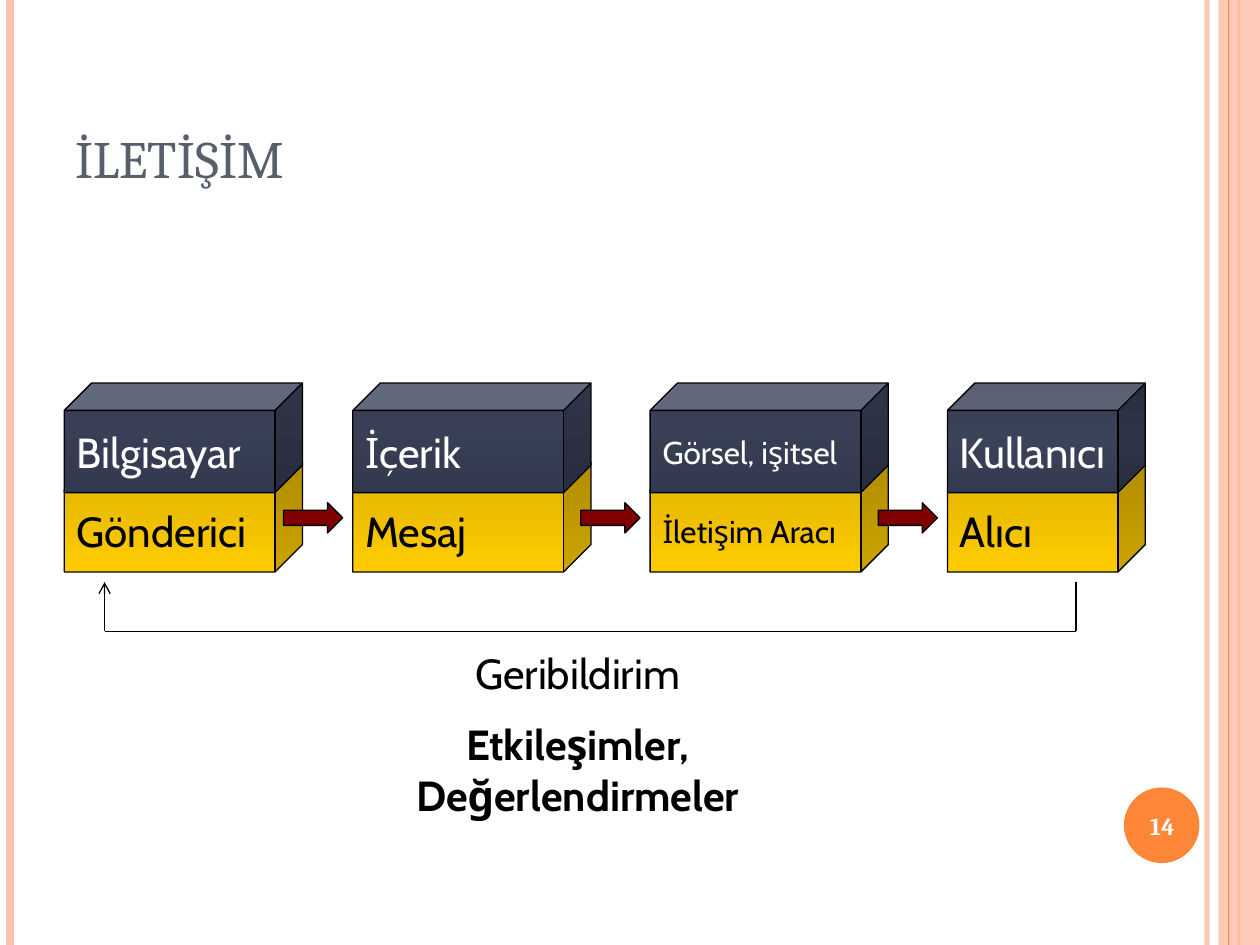
from copy import deepcopy
from pptx import Presentation
from pptx import util as u
from pptx.dml.color import RGBColor
from pptx.enum import shapes, text
from pptx.oxml.ns import qn
from pptx.oxml.xmlchemy import OxmlElement

SHAPE = shapes.MSO_SHAPE
MIDDLE = text.MSO_ANCHOR.MIDDLE
CENTER = text.PP_ALIGN.CENTER
NAVY, SLATE = "333A4F", "3B435B"
GOLD = ("DEB200", "FFCC00")


def color(value):
    return RGBColor.from_string(value)


def add_alpha(fill, percent):
    alpha = OxmlElement("a:alpha")
    alpha.set("val", str(percent * 1000))
    fill.find(qn("a:srgbClr")).append(alpha)


def add_line(page, start, end, value="000000", width=0.75, alpha=None, arrow=False):
    points = [u.Inches(n) for n in (*start, *end)]
    line = page.shapes.add_connector(shapes.MSO_CONNECTOR.STRAIGHT, *points)
    line.line.color.rgb = color(value)
    line.line.width = u.Pt(width)
    properties = line.element.spPr
    outline = properties.find(qn("a:ln"))
    if alpha:
        add_alpha(outline.find(qn("a:solidFill")), alpha)
    if arrow:
        tail = OxmlElement("a:tailEnd")
        tail.set("type", "arrow")
        outline.append(tail)
    properties.append(OxmlElement("a:effectLst"))


def add_shape(page, kind, box, stops, outlined=True):
    shape = page.shapes.add_shape(kind, *[u.Inches(n) for n in box])
    shape.shadow.inherit = False
    if len(stops) == 1:
        shape.fill.solid()
        shape.fill.fore_color.rgb = color(stops[0])
    else:
        fill_gradient(shape, stops)
    if outlined:
        shape.line.color.rgb = color("000000")
        shape.line.width = u.Pt(0.75)
    else:
        shape.line.fill.background()
    return shape


def fill_gradient(shape, stops):
    shape.fill.gradient()
    shape.fill.gradient_angle = 270
    stop_list = shape.element.spPr.find(qn("a:gradFill")).find(qn("a:gsLst"))
    for _ in stops[2:]:
        stop_list.append(deepcopy(stop_list[0]))
    for index, (stop, value) in enumerate(zip(shape.fill.gradient_stops, stops)):
        stop.position = index / (len(stops) - 1)
        stop.color.rgb = color(value)


def add_span(para, words, size, value, font="Cabin", bold=False):
    span = para.add_run()
    span.text = words
    span.font.name = font
    span.font.size = u.Pt(size)
    span.font.bold = bold
    span.font.color.rgb = color(value)
    return span


def add_box(page, box, anchor=text.MSO_ANCHOR.TOP):
    frame = page.shapes.add_textbox(*[u.Inches(n) for n in box]).text_frame
    frame.word_wrap = True
    frame.vertical_anchor = anchor
    return frame


def draw_frame(page, height):
    def rule(x, *style):
        add_line(page, (x, 0), (x, height), *style)

    rule(9.58, "FEC3AE", 3, 93)
    rule(0.08, "FEC3AE", 4.5)
    rule(9.83, "FE8637", 1.5)
    band = add_shape(page, SHAPE.RECTANGLE, (9.67, 0, 0.33, height), ["FEC3AE"], False)
    add_alpha(band.element.spPr.find(qn("a:solidFill")), 87)
    rule(9.75, "FE8637", 0.75)


def draw_page_number(page, left, top):
    add_shape(page, SHAPE.OVAL, (left, top, 0.6, 0.6), ["FE8637"], False)
    para = add_box(page, (left - 0.03, top + 0.02, 0.67, 0.57), MIDDLE).paragraphs[0]
    para.alignment = CENTER
    add_span(para, "14", 14, "FFFFFF", "Cambria", True)


def draw_title(page, box):
    para = add_box(page, box, text.MSO_ANCHOR.BOTTOM).paragraphs[0]
    span = add_span(para, "İLETİŞİM", 30, "575F6D", "Cambria")
    span.font._element.set("cap", "small")


def draw_cube(page, box, words, size, value, stops):
    cube = add_shape(page, SHAPE.CUBE, box, stops)
    cube.adjustments[0] = 0.25
    frame = cube.text_frame
    frame.word_wrap = False
    frame.vertical_anchor = MIDDLE
    para = frame.paragraphs[0]
    para.alignment = text.PP_ALIGN.LEFT
    add_span(para, words, size, value)


def draw_flow(page, top):
    height, step = 0.87, 0.63
    stages = [
        (0.51, 1.89, "Bilgisayar", "Gönderici", 24, (SLATE, NAVY)),
        (2.8, 1.89, "İçerik", "Mesaj", 24, (SLATE, NAVY)),
        (5.16, 1.89, "Görsel, işitsel", "İletişim Aracı", 18, (SLATE, NAVY)),
        (7.52, 1.57, "Kullanıcı", "Alıcı", 24, (NAVY, SLATE, NAVY)),
    ]
    for index, (left, width, upper, lower, size, stops) in enumerate(stages):
        draw_cube(page, (left, top + step, width, height), lower, size, "000000", GOLD)
        draw_cube(page, (left, top, width, height), upper, size, "FFFFFF", stops)
        if index:
            arrow = (left - 0.55, top + 0.95, 0.47, 0.24)
            add_shape(page, SHAPE.RIGHT_ARROW, arrow, ["800000"])


def draw_feedback(page, left, top, right, bottom):
    corners = [(right, top), (right, bottom), (left, bottom), (left, top)]
    for index in range(3):
        add_line(page, corners[index], corners[index + 1], arrow=index == 2)
    frame = add_box(page, (2.97, bottom + 0.08, 3.23, 2.12))
    para = frame.paragraphs[0]
    para.alignment = CENTER
    add_span(para, "Geribildirim", 24, "000000")
    para = frame.add_paragraph()
    para.alignment = CENTER
    para.space_before = u.Pt(12)
    add_span(para, "Etkileşimler, Değerlendirmeler", 24, "000000", bold=True)


def main():
    deck = Presentation()
    deck.slide_width, deck.slide_height = u.Inches(10), u.Inches(7.5)
    page = deck.slides.add_slide(deck.slide_layouts[6])
    draw_frame(page, 7.5)
    draw_page_number(page, 8.92, 6.25)
    draw_title(page, (0.5, 0.3, 8.17, 1.25))
    draw_feedback(page, 0.83, 4.62, 8.54, 5.01)
    draw_flow(page, 3.04)
    deck.save("out.pptx")


if __name__ == "__main__":
    main()
